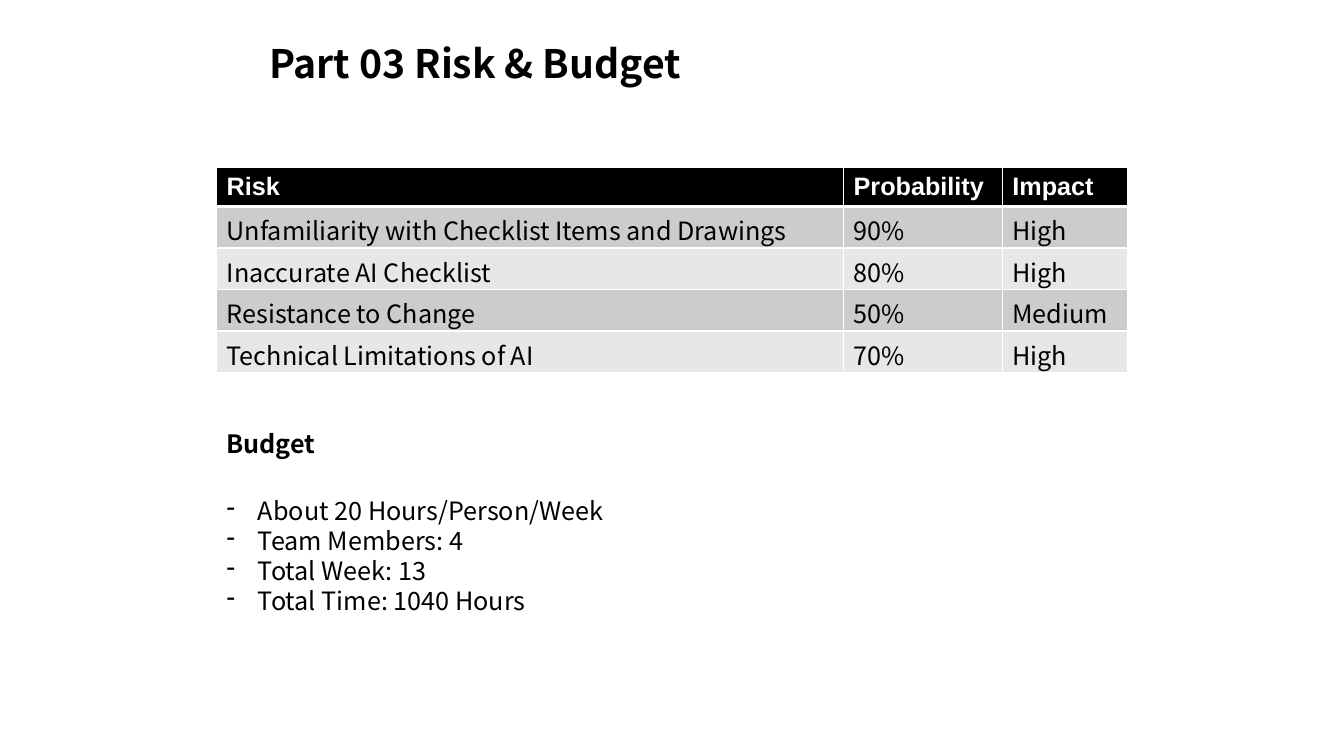
from lxml.etree import SubElement
from pptx import Presentation
from pptx.dml.color import RGBColor
from pptx.enum.text import MSO_ANCHOR as Anchor, PP_ALIGN as Align
from pptx.oxml.ns import qn
from pptx.util import Cm, Pt

TITLE = "Part 03 Risk & Budget"
RISKS = [
    ("Risk", "Probability", "Impact"),
    ("Unfamiliarity with Checklist Items and Drawings", "90%", "High"),
    ("Inaccurate AI Checklist", "80%", "High"),
    ("Resistance to Change", "50%", "Medium"),
    ("Technical Limitations of AI", "70%", "High"),
]
BUDGET_HEADING = "Budget"
BUDGET = [
    "About 20 Hours/Person/Week",
    "Team Members: 4",
    "Total Week: 13",
    "Total Time: 1040 Hours",
]
COLORS = {"ink": "000000", "paper": "FFFFFF", "odd": "CCCCCC", "even": "E7E7E7"}
BODY_FONT, HEADER_FONT = "Noto Sans CJK SC", "Arial"
LEFT = Cm(5.46)
COLUMN_WIDTHS = [Cm(15.8), Cm(4), Cm(3.16)]
HEADER_HEIGHT, ROW_HEIGHT = Cm(0.98), Cm(1.03)
INDENT = Cm(0.79)
LINE_PITCH = Pt(26)


def color(name):
    return RGBColor.from_string(COLORS[name])


def style(para, size, bold=False, name=BODY_FONT, ink="ink"):
    font = para.font
    font.size, font.bold, font.name = Pt(size), bold, name
    font.color.rgb = color(ink)


def add_border(cell, side, points):
    line = SubElement(cell._tc.get_or_add_tcPr(), qn(f"a:ln{side}"), w=str(Pt(points)))
    fill = SubElement(line, qn("a:solidFill"))
    SubElement(fill, qn("a:srgbClr"), val=COLORS["paper"])


def add_title(page):
    title = page.shapes.title
    title.left, title.top, title.width, title.height = Cm(6.53), Cm(0.99), Cm(11.63), Cm(1.45)
    frame = title.text_frame
    frame.text = TITLE
    frame.word_wrap = True
    frame.vertical_anchor = Anchor.TOP
    frame.margin_top = frame.margin_bottom = 0
    para = frame.paragraphs[0]
    para.alignment = Align.LEFT
    style(para, 28, bold=True)


def add_risks(page):
    height = HEADER_HEIGHT + ROW_HEIGHT * (len(RISKS) - 1)
    table = page.shapes.add_table(
        len(RISKS), len(COLUMN_WIDTHS), LEFT, Cm(4.22), sum(COLUMN_WIDTHS), height
    ).table
    for column, width in zip(table.columns, COLUMN_WIDTHS):
        column.width = width
    for index, values in enumerate(RISKS):
        header = index == 0
        table.rows[index].height = HEADER_HEIGHT if header else ROW_HEIGHT
        for column, value in enumerate(values):
            cell = table.cell(index, column)
            cell.text = value
            para = cell.text_frame.paragraphs[0]
            for side in "LRTB":
                thick = (header and side == "B") or (index == 1 and side == "T")
                add_border(cell, side, 3 if thick else 1)
            cell.fill.solid()
            if header:
                cell.fill.fore_color.rgb = color("ink")
                style(para, 18, bold=True, name=HEADER_FONT, ink="paper")
            else:
                cell.margin_bottom = 0
                cell.fill.fore_color.rgb = color("odd" if index % 2 else "even")
                style(para, 18)


def add_budget(page):
    box = page.shapes.add_textbox(LEFT, Cm(10.67), Cm(11.35), Cm(5.72))
    frame = box.text_frame
    frame.word_wrap = True
    for index, text in enumerate([BUDGET_HEADING] + BUDGET):
        heading = index == 0
        para = frame.paragraphs[0] if heading else frame.add_paragraph()
        para.text = text
        para.alignment = Align.JUSTIFY
        style(para, 18, bold=heading)
        if heading:
            para.space_after = LINE_PITCH
        else:
            props = para._p.get_or_add_pPr()
            props.set("marL", str(INDENT))
            props.set("indent", str(-INDENT))
            SubElement(props, qn("a:buChar"), char="-")
            props.append(props.find(qn("a:defRPr")))


def main():
    deck = Presentation()
    deck.slide_width, deck.slide_height = Cm(33.87), Cm(19.05)
    page = deck.slides.add_slide(deck.slide_layouts[5])
    add_title(page)
    add_risks(page)
    add_budget(page)
    deck.save("out.pptx")


if __name__ == "__main__":
    main()
